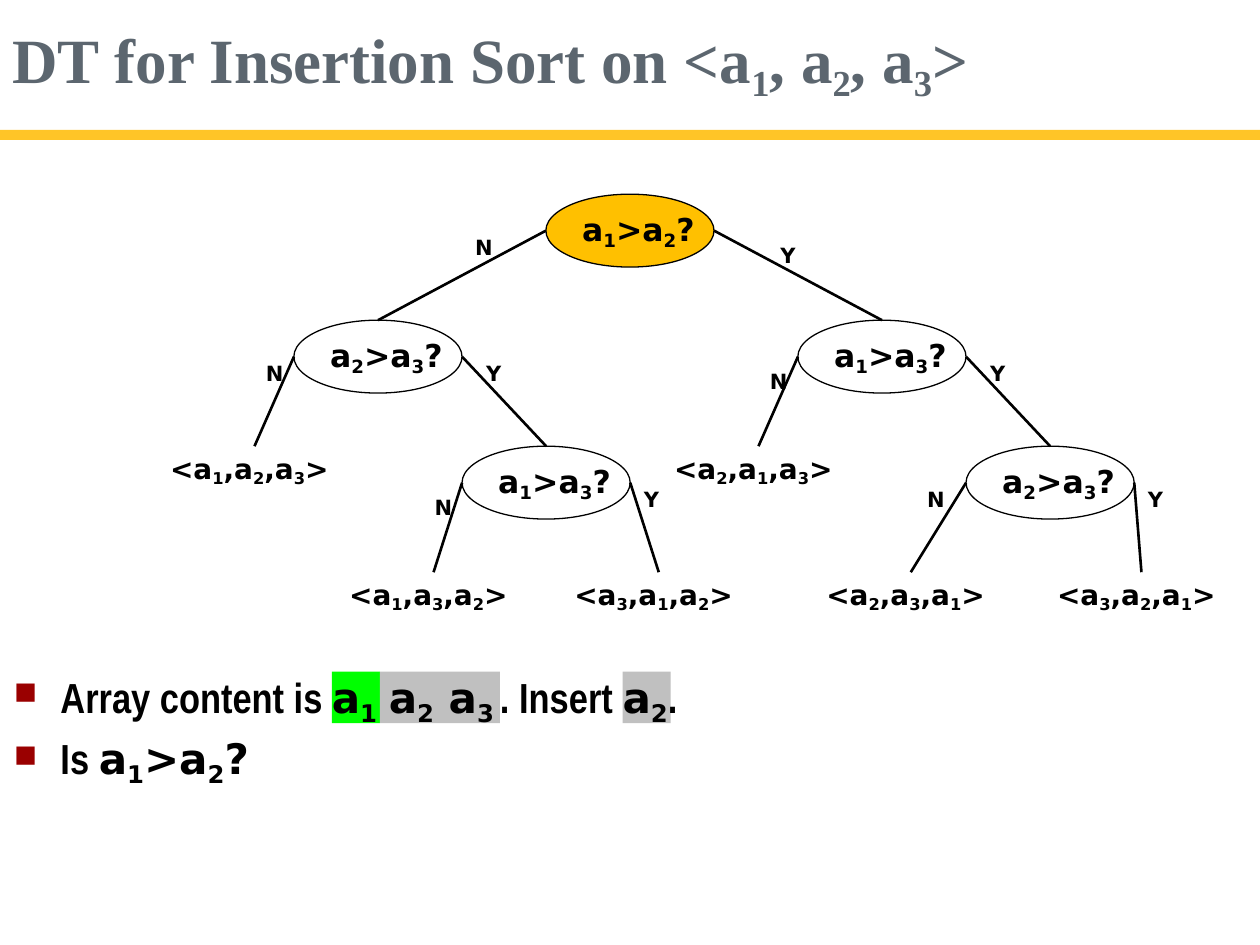
"""Build a slide with the decision tree for insertion sort on three items."""
from itertools import groupby

from lxml import etree
from pptx import Presentation
from pptx.dml.color import RGBColor
from pptx.enum import shapes, text
from pptx.oxml.ns import qn
from pptx.util import Cm, Pt

BLACK = RGBColor(0x00, 0x00, 0x00)
SLATE = RGBColor(0x5C, 0x66, 0x6F)
GOLD = RGBColor(0xFF, 0xC5, 0x27)
AMBER = RGBColor(0xFF, 0xC0, 0x00)
GREEN = RGBColor(0x00, 0xFF, 0x00)
GREY = RGBColor(0xC0, 0xC0, 0xC0)
SANS, NARROW, SERIF = "DejaVu Sans", "Arial Narrow", "Times New Roman"

LEVEL, TOP_CENTRE = 2.54, 4.65
NODE_W, NODE_H = 3.39, 1.47


def add_runs(p, words, size, name=SANS, color=BLACK):
    """Add bold runs to a paragraph, with every digit as a subscript."""
    for is_index, chars in groupby(words, str.isdigit):
        r = p.add_run()
        r.text = "".join(chars)
        r.font.size, r.font.name, r.font.bold = Pt(size), name, True
        r.font.color.rgb = color
        if is_index:
            r._r.get_or_add_rPr().set("baseline", "-21000")


def clear_frame(sp, left=0):
    """Take the margins and wrapping off a text frame and return it."""
    tf = sp.text_frame
    tf.margin_left, tf.margin_top, tf.margin_right, tf.margin_bottom = Cm(left), 0, 0, 0
    tf.word_wrap = False
    tf.auto_size = text.MSO_AUTO_SIZE.NONE
    tf.vertical_anchor = text.MSO_ANCHOR.TOP
    return tf


prs = Presentation()
prs.slide_width, prs.slide_height = Cm(25.4), Cm(19.05)
s = prs.slides.add_slide(prs.slide_layouts[5])

title = s.shapes.title
title.left, title.top, title.width, title.height = Cm(0.15), Cm(0.41), Cm(23.14), Cm(1.6)
p = clear_frame(title, 0.1).paragraphs[0]
p.alignment = text.PP_ALIGN.LEFT
add_runs(p, "DT for Insertion Sort on <a1, a2, a3>", 36, SERIF, SLATE)

blocks = [
    (0, 2.62, 25.4, 0.2, GOLD, "", 0),
    (6.69, 13.54, 0.97, 1.04, GREEN, "a1", 0),
    (7.66, 13.54, 2.42, 1.04, GREY, "a2 a3", 0.18),
    (12.55, 13.54, 0.97, 1.04, GREY, "", 0),
]
for left, top, width, height, color, words, margin in blocks:
    sp = s.shapes.add_shape(shapes.MSO_SHAPE.RECTANGLE, Cm(left), Cm(top), Cm(width), Cm(height))
    sp.shadow.inherit = False
    sp.fill.solid()
    sp.fill.fore_color.rgb = color
    sp.line.fill.background()
    p = clear_frame(sp, margin).paragraphs[0]
    p.alignment = text.PP_ALIGN.LEFT
    add_runs(p, words, 24)

nodes = [
    ("a1>a2?", 12.7, 0),
    ("a2>a3?", 7.62, 1),
    ("a1>a3?", 17.78, 1),
    ("a1>a3?", 11.01, 2),
    ("a2>a3?", 21.17, 2),
]
for words, x, level in nodes:
    top = TOP_CENTRE + level * LEVEL - NODE_H / 2
    sp = s.shapes.add_shape(shapes.MSO_SHAPE.OVAL, Cm(x - NODE_W / 2), Cm(top), Cm(NODE_W), Cm(NODE_H))
    sp.shadow.inherit = False
    sp.line.color.rgb, sp.line.width = BLACK, Pt(0.75)
    if level == 0:
        sp.fill.solid()
        sp.fill.fore_color.rgb = AMBER
    else:
        sp.fill.background()
    tf = clear_frame(sp, 0.34)
    tf.vertical_anchor = text.MSO_ANCHOR.MIDDLE
    p = tf.paragraphs[0]
    p.alignment = text.PP_ALIGN.CENTER
    add_runs(p, words, 18)

branches = [
    ("N", 12.7, 0, 7.62, 9.55, 4.72),
    ("Y", 12.7, 0, 17.78, 15.7, 4.88),
    ("N", 7.62, 1, 5.13, 5.33, 7.26),
    ("Y", 7.62, 1, 11.01, 9.77, 7.26),
    ("N", 17.78, 1, 15.29, 15.49, 7.42),
    ("Y", 17.78, 1, 21.17, 19.93, 7.26),
    ("N", 11.01, 2, 8.74, 8.73, 9.96),
    ("Y", 11.01, 2, 13.28, 12.95, 9.8),
    ("N", 21.17, 2, 18.36, 18.66, 9.8),
    ("Y", 21.17, 2, 23.01, 23.11, 9.8),
]
labels = []
for answer, x, level, child_x, left, top in branches:
    side = NODE_W / 2 if answer == "Y" else -NODE_W / 2
    y = TOP_CENTRE + level * LEVEL
    ln = s.shapes.add_connector(
        shapes.MSO_CONNECTOR.STRAIGHT, Cm(x + side), Cm(y), Cm(child_x), Cm(y + LEVEL - NODE_H / 2))
    ln.line.color.rgb, ln.line.width = BLACK, Pt(1.5)
    etree.SubElement(ln._element.spPr, qn("a:effectLst"))
    labels.append((left, top, 0.45, 0.58, 12, [(answer, SANS)]))

leaves = [
    ("<a1,a2,a3>", 5.13, 2),
    ("<a2,a1,a3>", 15.29, 2),
    ("<a1,a3,a2>", 8.74, 3),
    ("<a3,a1,a2>", 13.28, 3),
    ("<a2,a3,a1>", 18.36, 3),
    ("<a3,a2,a1>", 23.01, 3),
]
for words, x, level in leaves:
    top = TOP_CENTRE + level * LEVEL - NODE_H / 2 + 0.1
    labels.append((x - 1.8, top, 3.53, 0.74, 16, [(words, SANS)]))

labels.append((9.98, 13.54, 3.84, 1.09, 24, [(". Insert ", NARROW), ("a2", SANS), (".", NARROW)]))
for left, top, width, height, size, parts in labels:
    sp = s.shapes.add_textbox(Cm(left), Cm(top), Cm(width), Cm(height))
    p = clear_frame(sp, 0.03 if size == 12 else 0.1).paragraphs[0]
    for words, name in parts:
        add_runs(p, words, size, name)

sp = s.shapes.add_textbox(Cm(0.15), Cm(13.54), Cm(6.45), Cm(2.5))
tf = clear_frame(sp)
bullets = [[("Array content is", NARROW)], [("Is ", NARROW), ("a1>a2?", SANS)]]
for i, parts in enumerate(bullets):
    p = tf.add_paragraph() if i else tf.paragraphs[0]
    p.space_before = Pt(5.8)
    pPr = p._p.get_or_add_pPr()
    pPr.set("marL", str(Cm(1.07)))
    pPr.set("indent", str(Cm(-0.94)))
    color = etree.SubElement(pPr, qn("a:buClr"))
    etree.SubElement(color, qn("a:srgbClr"), val="9A0000")
    etree.SubElement(pPr, qn("a:buSzPct"), val="75000")
    etree.SubElement(pPr, qn("a:buChar"), char="■")
    for words, name in parts:
        add_runs(p, words, 24, name)

prs.save("out.pptx")
